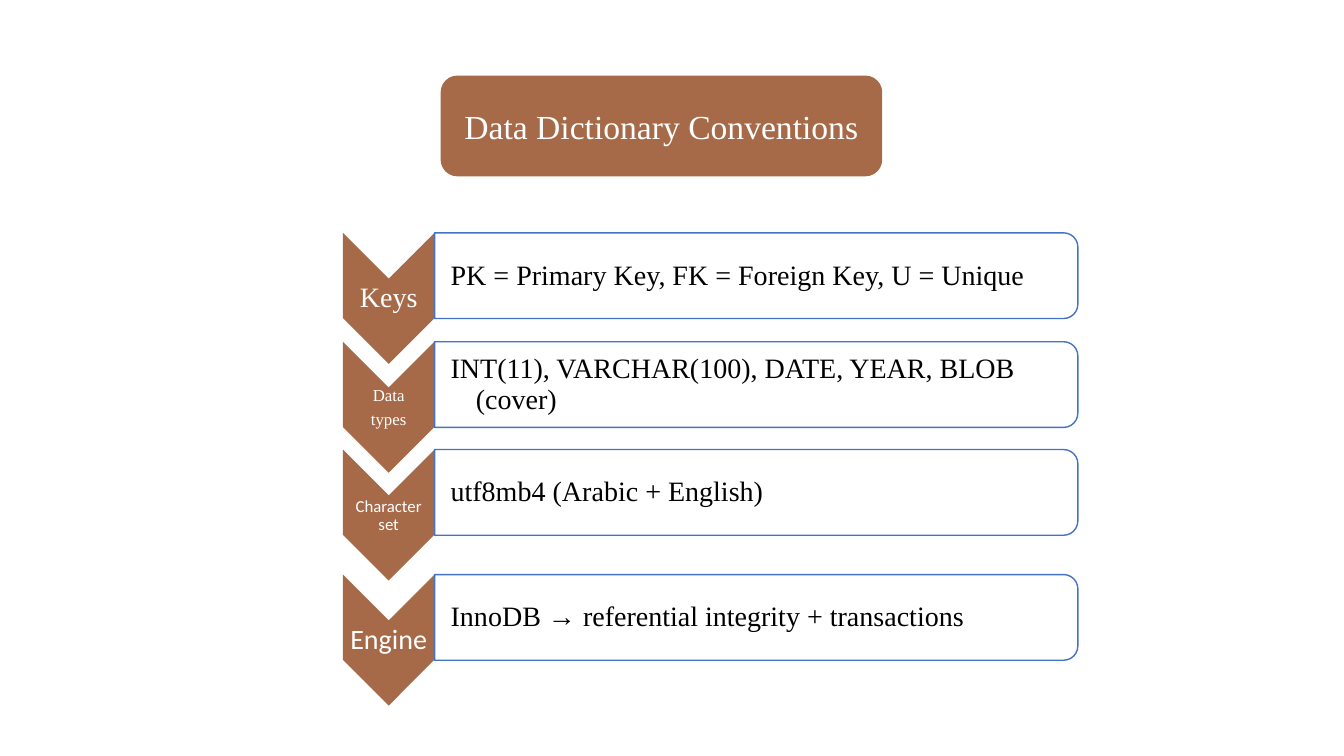
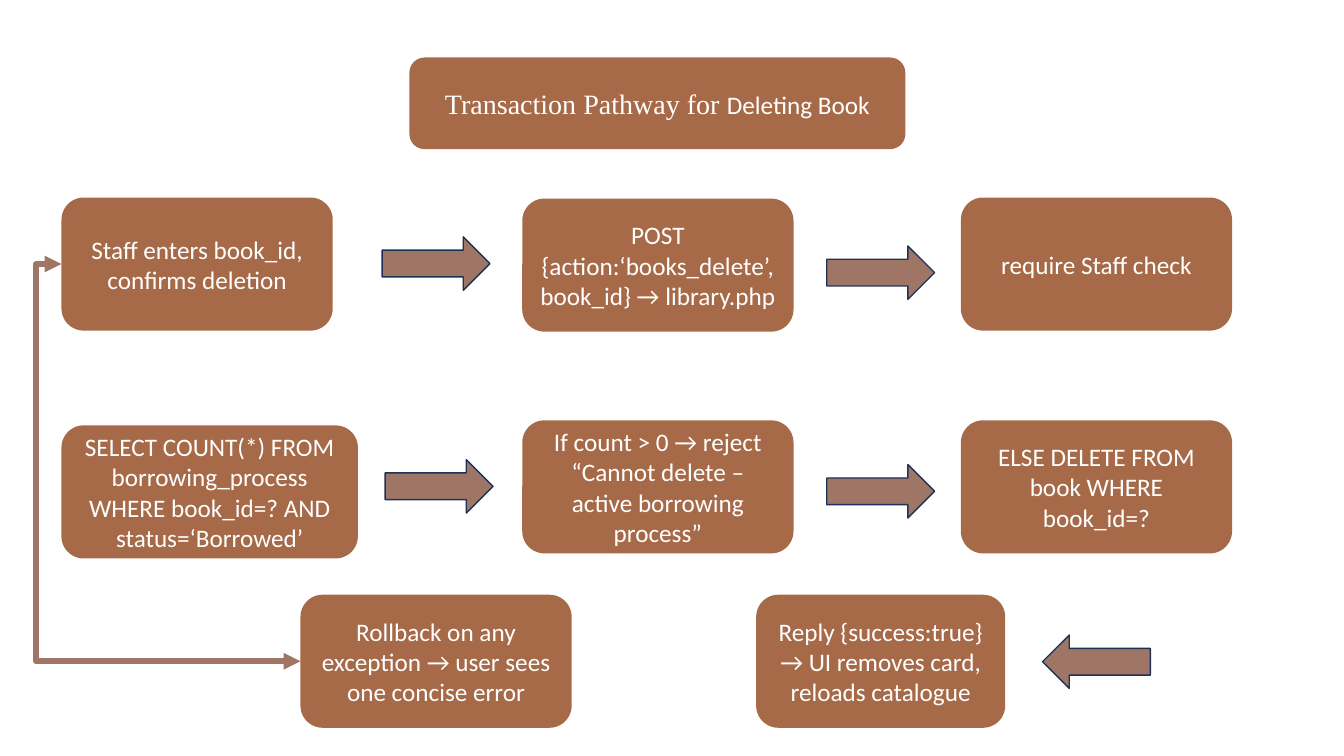
from dataclasses import dataclass
from lxml.etree import SubElement
from pptx import Presentation
from pptx.dml.color import RGBColor
from pptx.enum.shapes import MSO_CONNECTOR, MSO_SHAPE
from pptx.enum.text import MSO_ANCHOR, MSO_AUTO_SIZE, PP_ALIGN
from pptx.oxml.ns import qn
from pptx.util import Inches, Pt


@dataclass(frozen=True)
class Theme:
    brown: str = "A66A48"
    mauve: str = "9F7665"
    navy: str = "1E3256"
    blue: str = "4472C4"
    white: str = "FFFFFF"
    black: str = "000000"
    serif: str = "Times New Roman"
    sans: str = "Calibri"
    head: int = 24
    large: int = 20
    text: int = 18
    small: int = 12


def put(item, **vals):
    for key, val in vals.items():
        setattr(item, key, val)


class Deck:
    def __init__(self, theme):
        self.theme = theme
        self.show = Presentation()
        put(self.show, slide_width=Inches(13.33), slide_height=Inches(7.5))
        self.slide = None

    def page(self):
        self.slide = self.show.slides.add_slide(self.show.slide_layouts[5])

    def shape(self, kind, box, fill, line=None, turn=0):
        x, y, w, h = box
        if turn == 90:
            x, y, w, h = x + (w - h) / 2, y + (h - w) / 2, h, w
        item = self.slide.shapes.add_shape(
            kind, Inches(x), Inches(y), Inches(w), Inches(h))
        item.rotation = turn
        item.shadow.inherit = False
        item.fill.solid()
        item.fill.fore_color.rgb = RGBColor.from_string(fill)
        if line:
            item.line.color.rgb = RGBColor.from_string(line)
            item.line.width = Pt(1)
        else:
            item.line.fill.background()
        return item

    def words(self, frame, paras, color, **form):
        put(frame, word_wrap=True, vertical_anchor=MSO_ANCHOR.MIDDLE,
            auto_size=MSO_AUTO_SIZE.NONE)
        for i, runs in enumerate(paras):
            para = frame.add_paragraph() if i else frame.paragraphs[0]
            put(para, **form)
            for text, size, face in runs:
                run = para.add_run()
                run.text = text
                put(run.font, size=Pt(size), name=face)
                run.font.color.rgb = RGBColor.from_string(color)

    def title(self, box, runs):
        self.shape(MSO_SHAPE.ROUNDED_RECTANGLE, box, self.theme.brown)
        head = self.slide.shapes.title
        names = ("left", "top", "width", "height")
        put(head, **dict(zip(names, map(Inches, box))))
        tree = self.slide.shapes._spTree
        tree.append(head._element)
        self.words(head.text_frame, [runs], self.theme.white,
                   alignment=PP_ALIGN.CENTER)

    def label(self, box, paras, color, inset=0.01, **form):
        item = self.slide.shapes.add_textbox(*map(Inches, box))
        frame = item.text_frame
        put(frame, margin_left=Inches(inset), margin_right=Inches(0.01),
            margin_top=Inches(0.01), margin_bottom=Inches(0.01))
        self.words(frame, paras, color, line_spacing=0.9, **form)
        return frame

    def row(self, top, names, size, face, text):
        look = self.theme
        self.shape(MSO_SHAPE.CHEVRON, (3.4, top, 0.91, 1.3), look.brown, turn=90)
        self.label((3.4, top + 0.46, 0.91, 0.39),
                   [[(name, size, face)] for name in names], look.white,
                   alignment=PP_ALIGN.CENTER, space_after=Pt(size * 0.35))
        bar = self.shape(MSO_SHAPE.ROUND_2_SAME_RECTANGLE,
                         (4.31, top, 6.38, 0.85), look.white, look.blue, 90)
        tint = bar._element.spPr.find(qn("a:solidFill"))[0]
        SubElement(tint, qn("a:alpha"), val="90000")
        frame = self.label((4.31, top + 0.05, 6.34, 0.76),
                           [[(text, look.large, look.serif)]], look.black, 0.16,
                           alignment=PP_ALIGN.LEFT)
        props = frame.paragraphs[0]._p.get_or_add_pPr()
        props.set("marL", str(Inches(0.25)))
        props.set("indent", str(Inches(-0.25)))

    def step(self, box, text):
        look = self.theme
        item = self.shape(MSO_SHAPE.ROUNDED_RECTANGLE, box, look.brown)
        self.words(item.text_frame, [[(text, look.text, look.sans)]],
                   look.white, alignment=PP_ALIGN.CENTER)
        return item

    def arrow(self, x, y, turn=0):
        self.shape(MSO_SHAPE.RIGHT_ARROW, (x, y, 1.07, 0.53),
                   self.theme.mauve, self.theme.navy, turn)

    def loop(self, start, end, bend):
        link = self.slide.shapes.add_connector(MSO_CONNECTOR.ELBOW, 0, 0, 0, 0)
        link.begin_connect(start, 1)
        link.end_connect(end, 1)
        link.line.color.rgb = RGBColor.from_string(self.theme.mauve)
        link.line.width = Pt(4)
        props = link._element.spPr
        guides = props.find(qn("a:prstGeom")).find(qn("a:avLst"))
        SubElement(guides, qn("a:gd"), name="adj1", fmla=f"val {bend}")
        for tag in ("a:headEnd", "a:tailEnd"):
            SubElement(props.find(qn("a:ln")), qn(tag), type="triangle")
        SubElement(props, qn("a:effectLst"))


def main():
    look = Theme()
    deck = Deck(look)

    deck.page()
    deck.title((4.37, 0.75, 4.38, 1),
               [("Data Dictionary Conventions", look.head, look.serif)])
    rows = [
        (2.31, ["Keys"], look.large, look.serif,
         "PK = Primary Key, FK = Foreign Key, U = Unique"),
        (3.39, ["Data", "types"], look.small, look.serif,
         "INT(11), VARCHAR(100), DATE, YEAR, BLOB (cover)"),
        (4.46, ["Character set"], look.small, look.sans,
         "utf8mb4 (Arabic + English)"),
        (5.7, ["Engine"], look.large, look.sans,
         "InnoDB → referential integrity + transactions"),
    ]
    for row in rows:
        deck.row(*row)

    deck.page()
    deck.title((4.06, 0.57, 4.92, 0.91),
               [("Transaction Pathway for ", look.large, look.serif),
                ("Deleting Book", look.text, look.sans)])
    steps = [
        (0.61, 1.96, 2.69, "Staff enters book_id, confirms deletion"),
        (5.18, 1.97, 2.69, "POST {action:‘books_delete’, book_id} → library.php"),
        (9.53, 1.96, 2.69, "require Staff check"),
        (0.61, 4.22, 2.94, "SELECT COUNT(*) FROM borrowing_process "
                           "WHERE book_id=? AND status=‘Borrowed’"),
        (5.18, 4.17, 2.69, "If count > 0 → reject “Cannot delete – "
                           "active borrowing process”"),
        (9.53, 4.17, 2.69, "ELSE DELETE FROM book WHERE book_id=?"),
        (7.5, 5.9, 2.47, "Reply {success:true} → UI removes card, "
                         "reloads catalogue"),
        (2.98, 5.9, 2.69, "Rollback on any exception → user sees "
                          "one concise error"),
    ]
    boxes = [deck.step((x, y, w, 1.32), text) for x, y, w, text in steps]
    for x, y in ((3.79, 2.35), (8.2, 2.44), (3.82, 4.56), (8.2, 4.61)):
        deck.arrow(x, y)
    deck.arrow(10.34, 6.3, 180)
    deck.loop(boxes[-1], boxes[0], 110600)

    deck.show.save("out.pptx")


if __name__ == "__main__":
    main()
